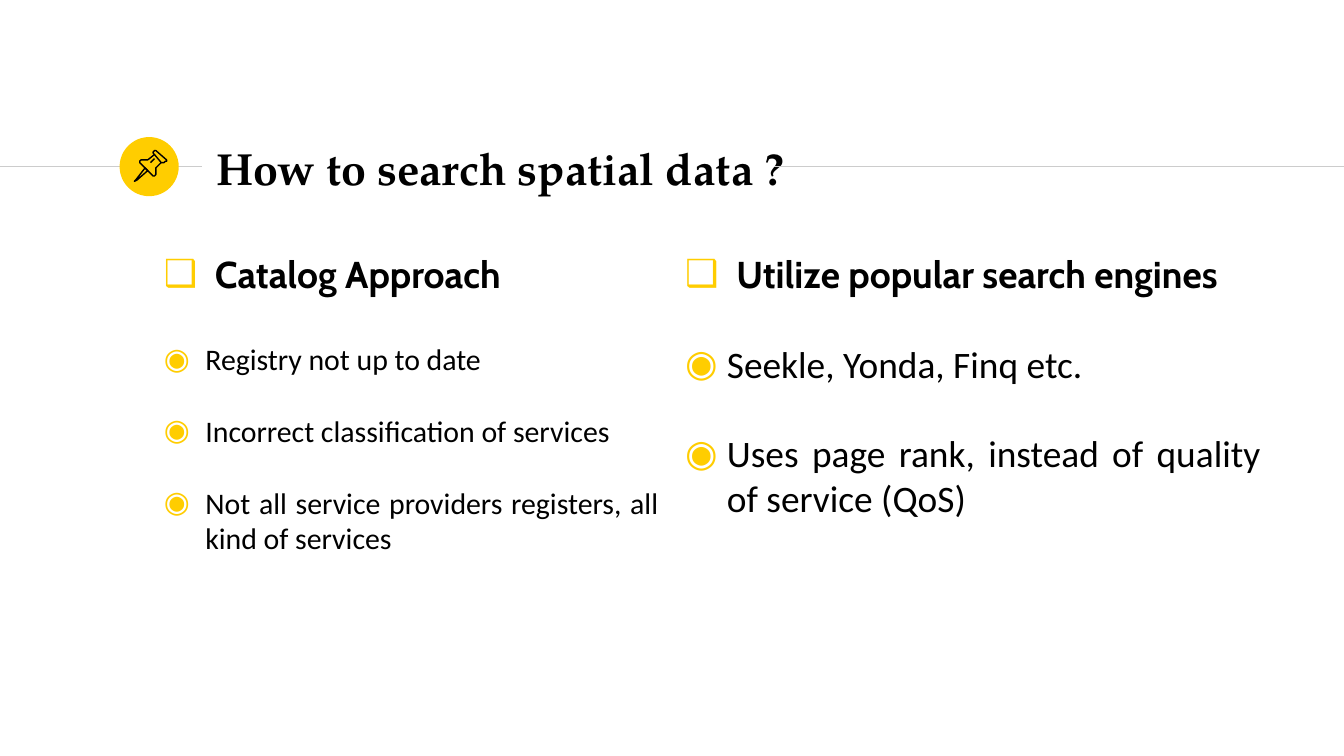
"""Build the slide that compares two ways to search spatial data."""
from dataclasses import dataclass

from lxml.etree import SubElement
from pptx import Presentation
from pptx.dml.color import RGBColor
from pptx.enum.shapes import MSO_CONNECTOR as CONN, MSO_SHAPE as SHAPE
from pptx.enum.text import MSO_ANCHOR as ANCHOR, MSO_AUTO_SIZE as AUTO, PP_ALIGN as ALIGN
from pptx.oxml.ns import qn
from pptx.util import Pt

PX = 9144
INSET = 10
SLIDE_WIDTH = 1000 * PX
SLIDE_HEIGHT = SLIDE_WIDTH * 9 // 16


@dataclass(frozen=True)
class Theme:
    ink: str = "000000"
    accent: str = "FFCD00"
    rule: str = "CCCCCC"
    title_font: str = "TeX Gyre Pagella"
    head_font: str = "Cabin"
    body_font: str = "Calibri"
    title_size: int = 24
    head_size: int = 20
    stroke: float = 0.75
    leading: float = 1.2


@dataclass(frozen=True)
class Box:
    left: int
    top: int
    width: int
    height: int

    def emu(self) -> list[int]:
        return [v * PX for v in (self.left, self.top, self.width, self.height)]


@dataclass(frozen=True)
class Column:
    box: Box
    heading: str
    size: int
    points: tuple[str, ...]


@dataclass(frozen=True)
class Outline:
    points: tuple[tuple[int, int], ...]
    closed: bool


THEME = Theme()
TITLE = "How to search spatial data ?"
TITLE_BOX = Box(151, 101, 469, 48)
BADGE = Box(89, 102, 44, 44)
RULE_Y = 124
RULES = ((0, 150), (576, 1000))
COLUMNS = (
    Column(Box(112, 177, 388, 353), "Catalog Approach", 16, (
        "Registry not up to date",
        "Incorrect classification of services",
        "Not all service providers registers, all kind of services",
    )),
    Column(Box(500, 177, 448, 353), "Utilize popular search engines", 20, (
        "Seekle, Yonda, Finq etc.",
        "Uses page rank, instead of quality of service (QoS)",
    )),
)
PIN = (
    Outline(((108, 125), (101, 134), (100, 135), (102, 134), (110, 127)), True),
    Outline(((115, 115), (120, 121), (122, 121), (123, 120), (124, 120), (124, 119),
             (116, 112), (115, 112), (114, 113), (114, 114)), True),
    Outline(((115, 115), (110, 119), (107, 119), (105, 119), (104, 120), (104, 121),
             (114, 131), (115, 131), (116, 130), (116, 125), (120, 121)), False),
    Outline(((112, 121), (115, 118)), False),
)


def set_attrs(obj, values: dict) -> None:
    for name, value in values.items():
        setattr(obj, name, value)


def set_frame(tf, anchor: ANCHOR) -> None:
    margins = {f"margin_{side}": INSET * PX for side in ("left", "right", "top", "bottom")}
    set_attrs(tf, margins | {"word_wrap": True, "auto_size": AUTO.NONE, "vertical_anchor": anchor})


def add_run(p, text: str, font: str, size: int, bold: bool) -> None:
    r = p.add_run()
    r.text = text
    set_attrs(r.font, {"name": font, "size": Pt(size), "bold": bold})
    r.font.color.rgb = RGBColor.from_string(THEME.ink)


def set_bullet(p, char: str, indent: int) -> None:
    pr = p._p.get_or_add_pPr()
    pr.set("marL", str(indent * PX))
    pr.set("indent", str(-indent * PX))
    color = SubElement(pr, qn("a:buClr"))
    SubElement(color, qn("a:srgbClr")).set("val", THEME.accent)
    SubElement(pr, qn("a:buFont")).set("typeface", THEME.head_font)
    SubElement(pr, qn("a:buChar")).set("char", char)


def add_title(slide) -> None:
    sp = slide.shapes.title
    set_attrs(sp, dict(zip(("left", "top", "width", "height"), TITLE_BOX.emu())))
    set_frame(sp.text_frame, ANCHOR.MIDDLE)
    p = sp.text_frame.paragraphs[0]
    p.alignment = ALIGN.LEFT
    add_run(p, TITLE, THEME.title_font, THEME.title_size, True)


def add_rule(slide, x1: int, x2: int) -> None:
    line = slide.shapes.add_connector(CONN.STRAIGHT, x1 * PX, RULE_Y * PX, x2 * PX, RULE_Y * PX)
    line.line.color.rgb = RGBColor.from_string(THEME.rule)
    line.line.width = Pt(THEME.stroke)
    SubElement(line._element.spPr, qn("a:effectLst"))


def add_badge(slide) -> None:
    sp = slide.shapes.add_shape(SHAPE.OVAL, *BADGE.emu())
    sp.shadow.inherit = False
    sp.fill.solid()
    sp.fill.fore_color.rgb = RGBColor.from_string(THEME.accent)
    sp.line.fill.background()


def add_column(slide, column: Column) -> None:
    tf = slide.shapes.add_textbox(*column.box.emu()).text_frame
    set_frame(tf, ANCHOR.TOP)
    p = tf.paragraphs[0]
    add_run(p, column.heading, THEME.head_font, THEME.head_size, True)
    set_bullet(p, "❑", 38)
    gap_size = THEME.head_size
    for text in column.points:
        p = tf.add_paragraph()
        set_attrs(p, {"alignment": ALIGN.JUSTIFY, "space_before": Pt(gap_size * THEME.leading)})
        add_run(p, text, THEME.body_font, column.size, False)
        set_bullet(p, "◉", 31)
        gap_size = column.size


def add_outline(slide, outline: Outline) -> None:
    start, *rest = outline.points
    builder = slide.shapes.build_freeform(*start, scale=PX)
    builder.add_line_segments(rest, close=outline.closed)
    sp = builder.convert_to_shape()
    sp.shadow.inherit = False
    sp.fill.background()
    sp.line.color.rgb = RGBColor.from_string(THEME.ink)
    sp.line.width = Pt(THEME.stroke)


def main() -> None:
    prs = Presentation()
    set_attrs(prs, {"slide_width": SLIDE_WIDTH, "slide_height": SLIDE_HEIGHT})
    slide = prs.slides.add_slide(prs.slide_layouts.get_by_name("Title Only"))
    for x1, x2 in RULES:
        add_rule(slide, x1, x2)
    add_badge(slide)
    add_title(slide)
    for column in COLUMNS:
        add_column(slide, column)
    for outline in PIN:
        add_outline(slide, outline)
    prs.save("out.pptx")


if __name__ == "__main__":
    main()
